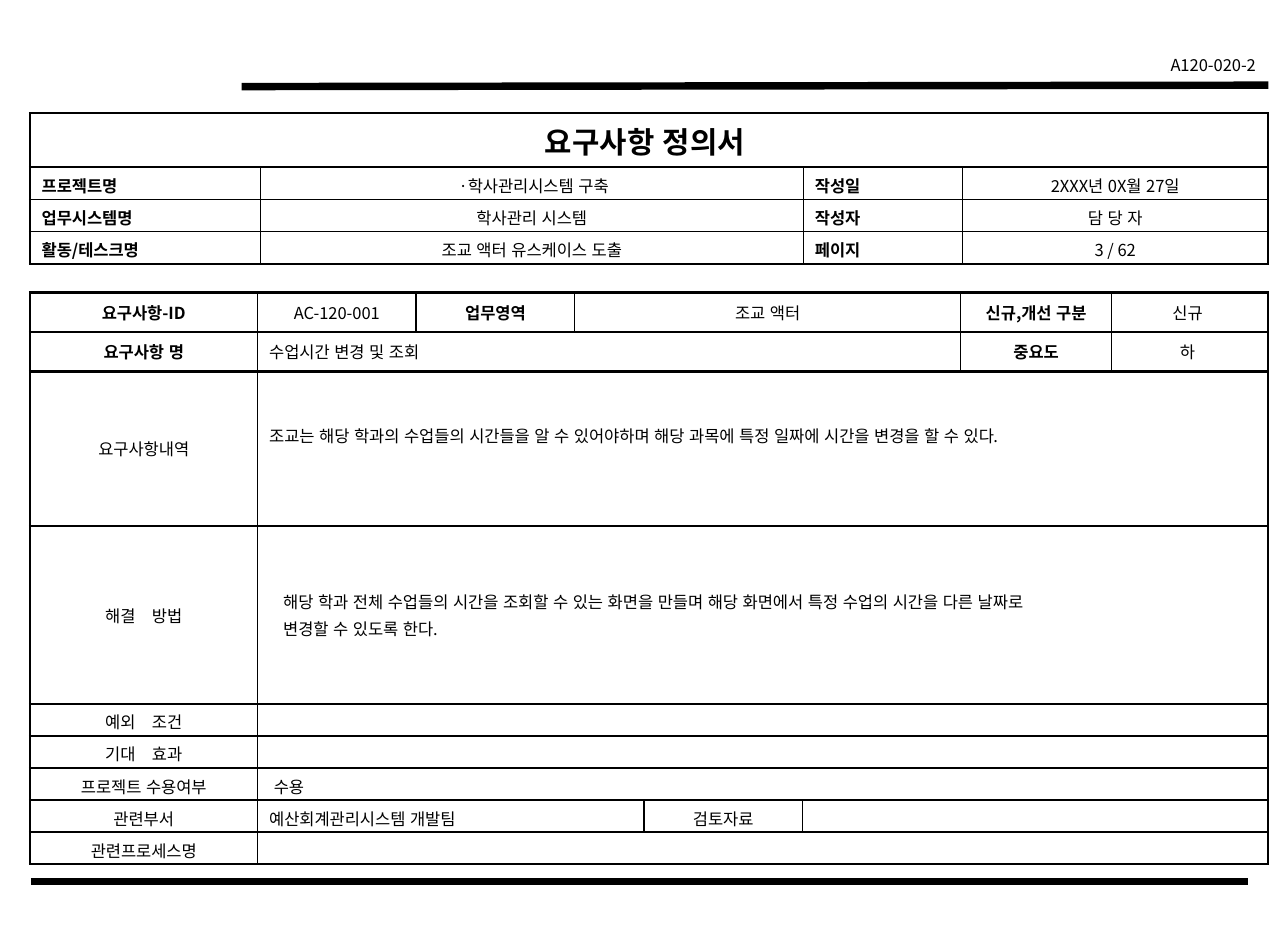
from dataclasses import dataclass

from lxml.etree import SubElement
from pptx import Presentation
from pptx.dml.color import RGBColor
from pptx.enum.lang import MSO_LANGUAGE_ID
from pptx.enum.shapes import MSO_CONNECTOR
from pptx.enum.text import MSO_ANCHOR, PP_ALIGN
from pptx.oxml.ns import qn
from pptx.util import Cm, Pt


@dataclass(frozen=True)
class Theme:
    font: str = "Noto Sans CJK KR"
    ink: RGBColor = RGBColor(0, 0, 0)
    body: int = 10
    title: int = 18
    rule: float = 4.5
    thick: float = 1.5
    thin: float = 1


@dataclass(frozen=True)
class Entry:
    text: str = ""
    span: int = 1
    bold: bool = False
    align: PP_ALIGN = PP_ALIGN.CENTER
    anchor: MSO_ANCHOR = MSO_ANCHOR.MIDDLE
    size: int = Theme.body
    indent: float = 0
    bottom: float = 0.13


class FormPage:
    def __init__(self, page, theme):
        self.page = page
        self.theme = theme

    def style_paragraph(self, para, size, bold, align):
        para.alignment = align
        for span in para.runs:
            font = span.font
            font.size = Pt(size)
            font.bold = bold
            font.language_id = MSO_LANGUAGE_ID.KOREAN
            font.color.rgb = self.theme.ink
            font.name = self.theme.font
            SubElement(font._element, qn("a:ea"), typeface=self.theme.font)
        if not para.runs:
            SubElement(para._p, qn("a:endParaRPr"), sz=str(size * 100))

    def rule(self, left, top, right, bottom):
        line = self.page.shapes.add_connector(
            MSO_CONNECTOR.STRAIGHT, Cm(left), Cm(top), Cm(right), Cm(bottom))
        line.line.color.rgb = self.theme.ink
        line.line.width = Pt(self.theme.rule)
        SubElement(line._element.spPr, qn("a:effectLst"))

    def label(self, text, left, top, width, height):
        box = self.page.shapes.add_textbox(Cm(left), Cm(top), Cm(width), Cm(height))
        box.text_frame.word_wrap = True
        box.text_frame.text = text
        self.style_paragraph(box.text_frame.paragraphs[0], self.theme.body, False, PP_ALIGN.RIGHT)

    def border(self, cell, widths):
        properties = cell._tc.get_or_add_tcPr()
        for side, width in zip("LRTB", widths):
            line = SubElement(properties, qn(f"a:ln{side}"), w=str(Pt(width)))
            fill = SubElement(line, qn("a:solidFill"))
            SubElement(fill, qn("a:srgbClr"), val=str(self.theme.ink))
        cell.fill.background()

    def fill_cell(self, cell, entry):
        cell.vertical_anchor = entry.anchor
        cell.margin_left = Cm(0.25 + entry.indent)
        cell.margin_right = Cm(0.25)
        cell.margin_top = Cm(0.13)
        cell.margin_bottom = Cm(entry.bottom)
        cell.text_frame.text = entry.text
        for para in cell.text_frame.paragraphs:
            para.space_before = Pt(entry.size * 0.2)
            self.style_paragraph(para, entry.size, entry.bold, entry.align)

    def form(self, left, top, widths, heights, rows, thick_edges):
        frame = self.page.shapes.add_table(
            len(heights), len(widths), Cm(left), Cm(top), Cm(sum(widths)), Cm(sum(heights)))
        table = frame.table
        table.first_row = table.horz_banding = False
        for column, width in zip(table.columns, widths):
            column.width = Cm(width)
        for row, height in zip(table.rows, heights):
            row.height = Cm(height)
        thick, thin = self.theme.thick, self.theme.thin
        for index, entries in enumerate(rows):
            start = 0
            for entry in entries:
                end = start + entry.span
                edges = (
                    thick if start == 0 else thin,
                    thick if end == len(widths) else thin,
                    thick if index in thick_edges else thin,
                    thick if index + 1 in thick_edges else thin,
                )
                for position in range(start, end):
                    cell = table.cell(index, position)
                    self.border(cell, edges)
                    self.fill_cell(cell, entry if position == start else Entry())
                if entry.span > 1:
                    table.cell(index, start).merge(table.cell(index, end - 1))
                start = end


def heading(text):
    return Entry(text, bold=True)


def header_row(name, value, side_name, side_value):
    top = MSO_ANCHOR.TOP
    return [
        Entry(name, bold=True, align=PP_ALIGN.JUSTIFY, anchor=top),
        Entry(value, anchor=top),
        Entry(side_name, bold=True, align=PP_ALIGN.JUSTIFY, anchor=top),
        Entry(side_value, anchor=top),
    ]


def detail(text="", span=7, **options):
    return Entry(text, span=span, align=PP_ALIGN.LEFT, **options)


def main():
    deck = Presentation()
    deck.slide_width, deck.slide_height = Pt(780), Pt(570)
    theme = Theme()
    form_page = FormPage(deck.slides.add_slide(deck.slide_layouts[6]), theme)

    form_page.rule(5.16, 1.85, 27.1, 1.82)
    form_page.label("A120-020-2", 24.33, 1.05, 2.75, 0.69)
    form_page.rule(0.66, 18.84, 26.67, 18.84)

    header_rows = [
        [Entry("요구사항 정의서 ", span=4, bold=True, size=theme.title)],
        header_row("프로젝트명", " ·학사관리시스템 구축", "작성일", "2XXX년 0X월 27일"),
        header_row("업무시스템명 ", "학사관리 시스템", "작성자", "담 당 자"),
        header_row("활동/테스크명", "조교 액터 유스케이스 도출", "페이지", "3 / 62"),
    ]
    form_page.form(0.64, 2.42, [4.92, 11.6, 3.4, 6.53], [1.15] + [0.69] * 3,
                   header_rows, {0, 4})

    requirement_rows = [
        [heading("요구사항-ID"), Entry("AC-120-001"), heading("업무영역"),
         Entry("조교 액터", span=3), heading("신규,개선 구분"), Entry("신규 ")],
        [heading("요구사항 명"), detail("수업시간 변경 및 조회", 5), heading("중요도"), Entry("하 ")],
        [Entry("요구사항내역"),
         detail("조교는 해당 학과의 수업들의 시간들을 알 수 있어야하며 "
                "해당 과목에 특정 일짜에 시간을 변경을 할 수 있다.", bottom=0.7)],
        [Entry("해결　방법"),
         detail("해당 학과 전체 수업들의 시간을 조회할 수 있는 화면을 만들며 "
                "해당 화면에서 특정 수업의 시간을 다른 날짜로\n변경할 수 있도록 한다.", indent=0.3)],
        [Entry("예외　조건"), detail()],
        [Entry("기대　효과"), detail()],
        [Entry("프로젝트 수용여부"), detail("수용", indent=0.1)],
        [Entry("관련부서"), detail("예산회계관리시스템 개발팀", 3), Entry("검토자료"), detail(span=3)],
        [Entry("관련프로세스명"), detail()],
    ]
    form_page.form(0.64, 6.25, [4.86, 3.39, 3.39, 1.48, 3.38, 3.38, 3.23, 3.34],
                   [0.84, 0.85, 3.3, 3.8] + [0.68] * 5, requirement_rows, {0, 1, 2, 9})
    deck.save("out.pptx")


if __name__ == "__main__":
    main()
